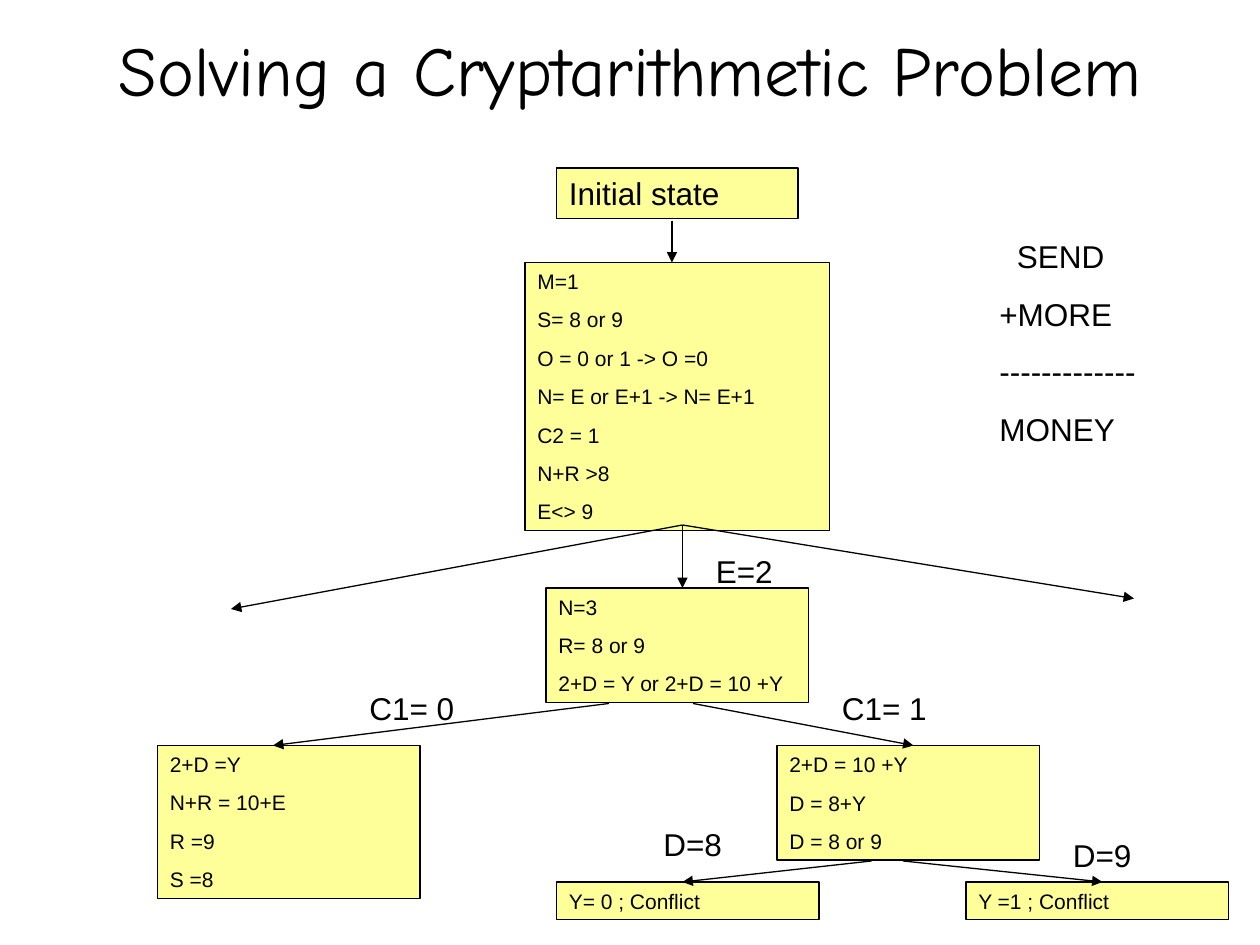
import pptx
import pptx.util
import pptx.dml.color
import pptx.enum.shapes
import pptx.enum.text
import pptx.oxml.ns
import lxml.etree

Pt = pptx.util.Pt
COLORS = {"ink": "000000", "box": "FFFF99", "page": "FFFFFF"}
FONTS = {"title": "Comic Neue", "body": "Arial"}


def rgb(name):
    return pptx.dml.color.RGBColor.from_string(COLORS[name])


class Page:
    def __init__(self, deck):
        self.slide = deck.slides.add_slide(deck.slide_layouts[5])
        self.slide.background.fill.solid()
        self.slide.background.fill.fore_color.rgb = rgb("page")

    def style_run(self, para, text, size, font):
        run = para.add_run()
        run.text = text
        run.font.size = Pt(size)
        run.font.name = FONTS[font]
        run.font.color.rgb = rgb("ink")

    def height(self, lines, size):
        return Pt(round(7.2 + 1.2 * size + 1.83 * size * (len(lines) - 1), 2))

    def fill_text(self, shape, lines, size):
        frame = shape.text_frame
        frame.word_wrap = True
        frame.auto_size = pptx.enum.text.MSO_AUTO_SIZE.SHAPE_TO_FIT_TEXT
        frame.vertical_anchor = pptx.enum.text.MSO_ANCHOR.TOP
        for index, line in enumerate(lines):
            para = frame.add_paragraph() if index else frame.paragraphs[0]
            para.alignment = pptx.enum.text.PP_ALIGN.LEFT
            if index:
                para.space_before = Pt(0.625 * size)
            self.style_run(para, line, size, "body")

    def title(self, text):
        title = self.slide.shapes.title
        title.left, title.top, title.width, title.height = Pt(36), Pt(0), Pt(648), Pt(78)
        title.text_frame.vertical_anchor = pptx.enum.text.MSO_ANCHOR.MIDDLE
        para = title.text_frame.paragraphs[0]
        para.alignment = pptx.enum.text.PP_ALIGN.CENTER
        self.style_run(para, text, 40, "title")

    def state(self, left, top, width, lines, size=12):
        box = self.slide.shapes.add_shape(
            pptx.enum.shapes.MSO_SHAPE.RECTANGLE,
            Pt(left), Pt(top), Pt(width), self.height(lines, size))
        box.shadow.inherit = False
        box.fill.solid()
        box.fill.fore_color.rgb = rgb("box")
        box.line.color.rgb = rgb("ink")
        box.line.width = Pt(0.75)
        self.fill_text(box, lines, size)

    def label(self, left, top, width, lines, size=18):
        box = self.slide.shapes.add_textbox(
            Pt(left), Pt(top), Pt(width), self.height(lines, size))
        self.fill_text(box, lines, size)
        return box

    def arrow(self, start, end):
        arrow = self.slide.shapes.add_connector(
            pptx.enum.shapes.MSO_CONNECTOR.STRAIGHT, *map(Pt, start + end))
        arrow.line.color.rgb = rgb("ink")
        arrow.line.width = Pt(0.75)
        qn = pptx.oxml.ns.qn
        properties = arrow.element.find(qn("p:spPr"))
        line = properties.find(qn("a:ln"))
        lxml.etree.SubElement(line, qn("a:tailEnd"), type="triangle")
        lxml.etree.SubElement(properties, qn("a:effectLst"))


def main():
    deck = pptx.Presentation()
    deck.slide_width, deck.slide_height = Pt(720), Pt(540)
    page = Page(deck)
    page.title("Solving a Cryptarithmetic Problem")

    page.state(318, 96, 138, ["Initial state"], 18)
    page.state(300, 150, 174, [
        "M=1", "S= 8 or 9", "O = 0 or 1 -> O =0", "N= E or E+1 -> N= E+1",
        "C2 = 1", "N+R >8", "E<> 9"])
    for left, top, lines in [
        (312, 336, ["N=3", "R= 8 or 9", "2+D = Y or 2+D = 10 +Y"]),
        (90, 426, ["2+D =Y", "N+R = 10+E", "R =9", "S =8"]),
        (444, 426, ["2+D = 10 +Y", "D = 8+Y", "D = 8 or 9"]),
        (318, 504, ["Y= 0 ; Conflict"]),
        (552, 504, ["Y =1 ; Conflict"]),
    ]:
        page.state(left, top, 150, lines)

    for start, end in [
        ((384, 126), (384, 150)),
        ((390, 300), (390, 336)),
        ((390, 300), (132, 348)),
        ((390, 300), (648, 342)),
        ((348, 402), (156, 426)),
        ((396, 402), (522, 426)),
        ((498, 492), (390, 504)),
        ((516, 492), (630, 504)),
    ]:
        page.arrow(start, end)

    for left, top, width, text in [
        (402, 312, 66, "E=2"),
        (204, 390, 66, "C1= 0"),
        (474, 390, 66, "C1= 1"),
        (372, 468, 60, "D=8"),
        (606, 474, 60, "D=9"),
    ]:
        page.label(left, top, width, [text])

    puzzle = page.label(564, 132, 102, ["SEND", "+MORE", "-------------", "MONEY"])
    first = puzzle.text_frame.paragraphs[0]
    first._p.get_or_add_pPr().set("marL", str(Pt(10)))

    deck.save("out.pptx")


if __name__ == "__main__":
    main()
